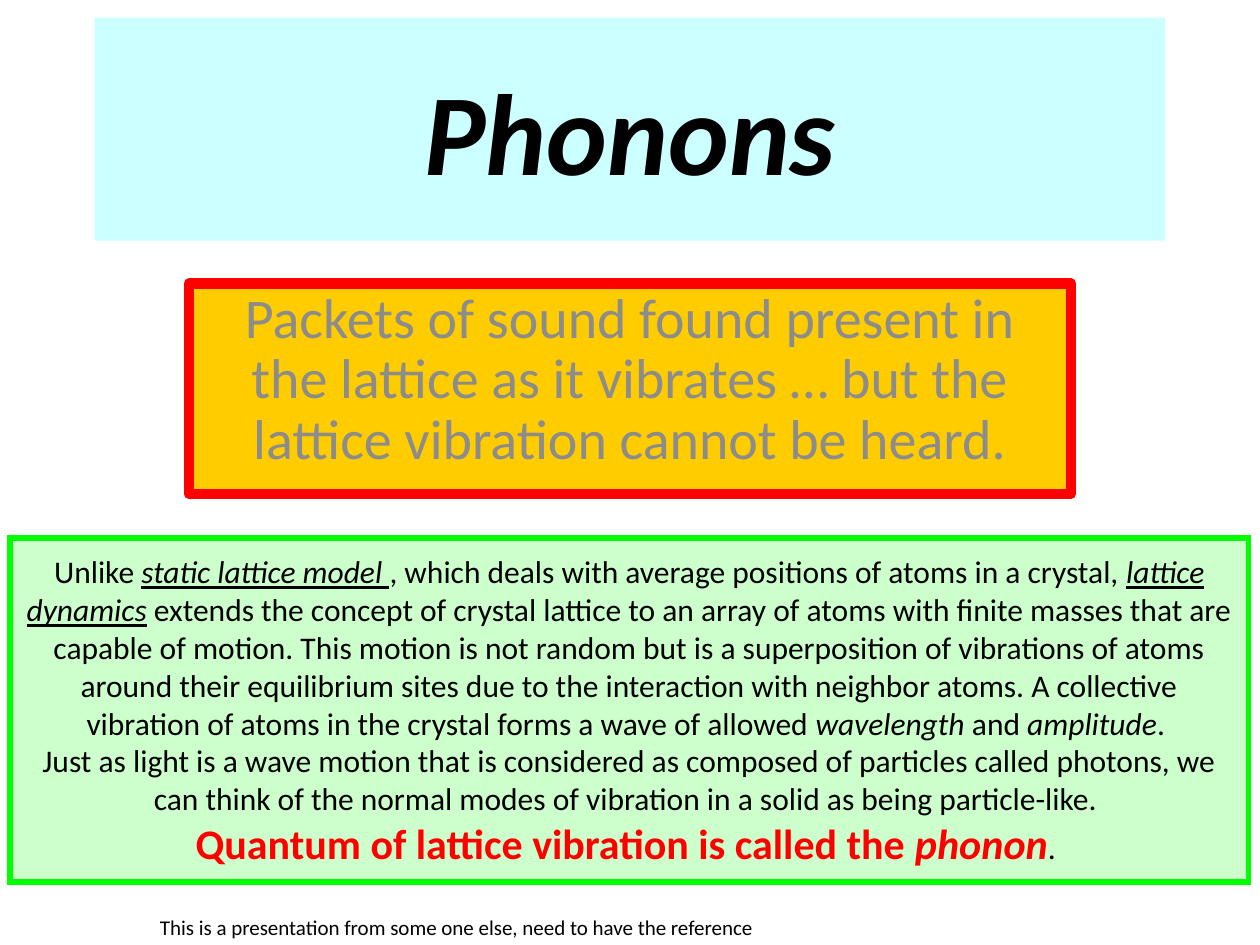
from dataclasses import dataclass
from typing import Optional

from lxml.etree import SubElement
from pptx import Presentation
from pptx.dml.color import RGBColor
from pptx.enum.text import MSO_ANCHOR, PP_ALIGN
from pptx.oxml.ns import qn
from pptx.util import Emu, Pt

PX = 9144
BLACK = RGBColor(0x00, 0x00, 0x00)
GREY = RGBColor(0x8C, 0x8C, 0x8C)
RED = RGBColor(0xFF, 0x00, 0x00)
GREEN = RGBColor(0x00, 0xFF, 0x00)
PALE_CYAN = RGBColor(0xCC, 0xFF, 0xFF)
PALE_GREEN = RGBColor(0xCC, 0xFF, 0xCC)
GOLD = RGBColor(0xFF, 0xCC, 0x00)


@dataclass(frozen=True)
class Run:
    text: str
    bold: bool = False
    italic: bool = False
    underline: bool = False
    size: Optional[int] = None
    color: Optional[RGBColor] = None


@dataclass(frozen=True)
class Panel:
    left: int
    top: int
    width: int
    height: int
    fill: Optional[RGBColor] = None
    border: Optional[RGBColor] = None
    border_width: int = 0
    join: str = "a:round"


def place(shape, panel: Panel) -> None:
    """Position a shape and apply the panel's fill and border."""
    shape.left, shape.top, shape.width, shape.height = (
        Emu(length * PX) for length in (panel.left, panel.top, panel.width, panel.height)
    )
    if panel.fill is not None:
        shape.fill.solid()
        shape.fill.fore_color.rgb = panel.fill
    if panel.border is not None:
        shape.line.color.rgb = panel.border
        shape.line.width = Pt(panel.border_width)
        SubElement(shape.line._ln, qn(panel.join))


def write(shape, paragraphs: list[list[Run]], *, size: int, color: RGBColor = BLACK,
          align: PP_ALIGN = PP_ALIGN.CENTER, anchor: MSO_ANCHOR = MSO_ANCHOR.TOP,
          spacing: float = 1.0, wrap: bool = True) -> None:
    """Write formatted paragraphs of runs into a shape."""
    frame = shape.text_frame
    frame.word_wrap = wrap
    frame.vertical_anchor = anchor
    for index, runs in enumerate(paragraphs):
        paragraph = frame.add_paragraph() if index else frame.paragraphs[0]
        paragraph.alignment = align
        paragraph.line_spacing = spacing
        paragraph.space_before = Pt(0)
        for part in runs:
            run = paragraph.add_run()
            run.text = part.text
            run.font.name = "Calibri"
            run.font.size = Pt(part.size or size)
            run.font.bold = part.bold
            run.font.italic = part.italic
            run.font.underline = part.underline
            run.font.color.rgb = part.color or color


def add_text(slide, panel: Panel, paragraphs: list[list[Run]], **text_format) -> None:
    """Add a text box styled as a panel."""
    box = slide.shapes.add_textbox(0, 0, 0, 0)
    place(box, panel)
    write(box, paragraphs, **text_format)


def main() -> None:
    """Build the phonons slide."""
    presentation = Presentation()
    presentation.slide_width = Emu(1000 * PX)
    presentation.slide_height = Emu(750 * PX)
    slide = presentation.slides.add_slide(presentation.slide_layouts[5])

    title = slide.shapes.title
    place(title, Panel(75, 14, 850, 177, PALE_CYAN))
    write(title, [[Run("Phonons", bold=True, italic=True)]], size=66, anchor=MSO_ANCHOR.MIDDLE)

    summary = ("Packets of sound found present in the lattice as it vibrates … "
               "but the lattice vibration cannot be heard.")
    add_text(slide, Panel(150, 225, 700, 167, GOLD, RED, 6), [[Run(summary)]],
             size=32, color=GREY, spacing=0.9)

    explanation = [
        [
            Run("Unlike "),
            Run("static lattice model ", italic=True, underline=True),
            Run(", which deals with average positions of atoms in a crystal, "),
            Run("lattice dynamics", italic=True, underline=True),
            Run(" extends the concept of crystal lattice to an array of atoms with finite "
                "masses that are capable of motion. This motion is not random but is a "
                "superposition of vibrations of atoms around their equilibrium sites due to "
                "the interaction with neighbor atoms. A collective vibration of atoms in the "
                "crystal forms a wave of allowed "),
            Run("wavelength ", italic=True),
            Run("and "),
            Run("amplitude", italic=True),
            Run(". "),
        ],
        [Run("Just as light is a wave motion that is considered as composed of particles "
             "called photons, we can think of the normal modes of vibration in a solid as "
             "being particle-like. ")],
        [
            Run("Quantum of lattice vibration is called the ", bold=True, size=24, color=RED),
            Run("phonon", bold=True, italic=True, size=24, color=RED),
            Run(". "),
        ],
    ]
    add_text(slide, Panel(8, 427, 983, 273, PALE_GREEN, GREEN, 3, "a:miter"), explanation,
             size=18, anchor=MSO_ANCHOR.MIDDLE)

    source_note = "This is a presentation from some one else, need to have the reference"
    add_text(slide, Panel(117, 721, 501, 30), [[Run(source_note)]],
             size=12, align=PP_ALIGN.LEFT, wrap=False)

    presentation.save("out.pptx")


if __name__ == "__main__":
    main()
